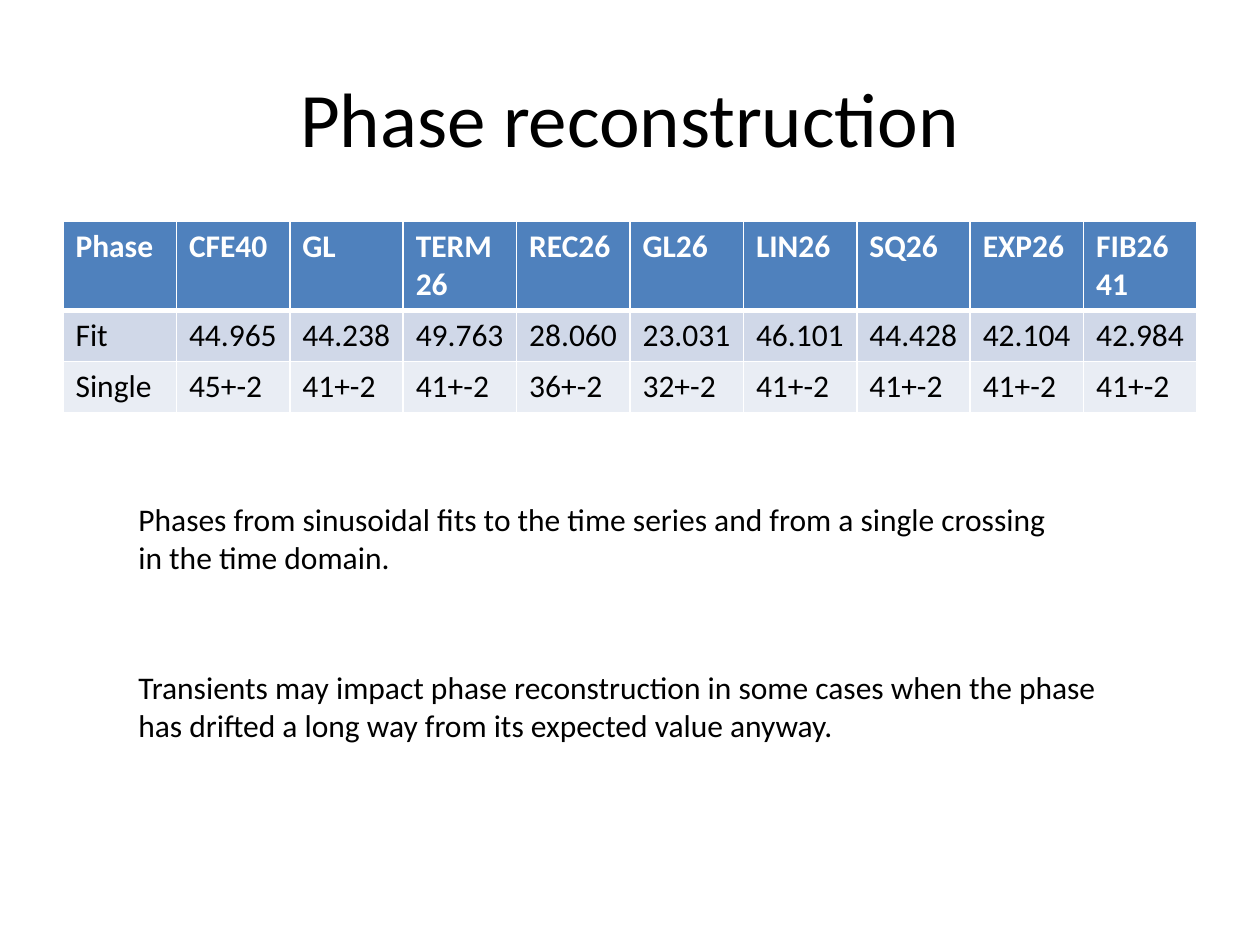
from dataclasses import dataclass

from lxml import etree
from pptx import Presentation
from pptx.dml.color import RGBColor
from pptx.enum.text import MSO_ANCHOR, PP_ALIGN
from pptx.oxml.ns import qn
from pptx.util import Emu, Pt

EMU_PER_PX = 914400 / 126
TITLE_ONLY = 5
FONT = "Calibri"
MIDDLE = MSO_ANCHOR.MIDDLE
LEFT, CENTER = PP_ALIGN.LEFT, PP_ALIGN.CENTER

BLACK = RGBColor(0x00, 0x00, 0x00)
WHITE = RGBColor(0xFF, 0xFF, 0xFF)
HEADER_BLUE = RGBColor(0x4F, 0x81, 0xBD)
BAND_DARK = RGBColor(0xD0, 0xD8, 0xE8)
BAND_LIGHT = RGBColor(0xE9, 0xED, 0xF4)


@dataclass(frozen=True)
class Row:
    values: list[str]
    height: int
    fill: RGBColor
    color: RGBColor = BLACK
    bold: bool = False
    top: int = 1
    bottom: int = 1


@dataclass(frozen=True)
class Note:
    box: tuple[int, int, int, int]
    lines: list[str]
    wrap: bool


ROWS = [
    Row(["Phase", "CFE40", "GL", "TERM26", "REC26", "GL26", "LIN26", "SQ26",
         "EXP26", "FIB2641"], 89, HEADER_BLUE, WHITE, bold=True, bottom=3),
    Row(["Fit", "44.965", "44.238", "49.763", "28.060", "23.031", "46.101",
         "44.428", "42.104", "42.984"], 51, BAND_DARK, top=3),
    Row(["Single", "45+-2", "41+-2", "41+-2", "36+-2", "32+-2", "41+-2",
         "41+-2", "41+-2", "41+-2"], 51, BAND_LIGHT),
]
NOTES = [
    Note((126, 494, 951, 89),
         ["Phases from sinusoidal fits to the time series and from a single crossing",
          "in the time domain."], wrap=False),
    Note((126, 662, 1026, 89),
         ["Transients may impact phase reconstruction in some cases when the phase",
          "has drifted a long way from its expected value anyway."], wrap=True),
]


def px(n: int) -> Emu:
    return Emu(round(n * EMU_PER_PX))


def write(tf, *lines: str, size=18, color=BLACK, bold=False, align=LEFT) -> None:
    """Fill a text frame with one paragraph per line."""
    for i, line in enumerate(lines):
        p = tf.add_paragraph() if i else tf.paragraphs[0]
        p.alignment = align
        r = p.add_run()
        r.text = line
        r.font.name, r.font.size, r.font.bold = FONT, Pt(size), bold
        r.font.color.rgb = color


def set_borders(cell, **widths: int) -> None:
    """Draw white borders; widths in points, in the order L, R, T, B."""
    tc_pr = cell._tc.get_or_add_tcPr()
    for i, (side, width) in enumerate(widths.items()):
        ln = etree.Element(qn(f"a:ln{side}"), w=str(Pt(width)))
        fill = etree.SubElement(ln, qn("a:solidFill"))
        etree.SubElement(fill, qn("a:srgbClr"), val=str(WHITE))
        tc_pr.insert(i, ln)


def add_title(s, text: str) -> None:
    sp = s.shapes.title
    sp.left, sp.top, sp.width, sp.height = map(px, (63, 38, 1134, 158))
    sp.text_frame.vertical_anchor = MIDDLE
    write(sp.text_frame, text, size=44, align=CENTER)


def add_phase_table(s, rows: list[Row]) -> None:
    n_cols = len(rows[0].values)
    height = sum(row.height for row in rows)
    table = s.shapes.add_table(len(rows), n_cols, px(63), px(221),
                               px(1134), px(height)).table
    for i, row in enumerate(rows):
        table.rows[i].height = px(row.height)
        for j, value in enumerate(row.values):
            cell = table.cell(i, j)
            cell.fill.solid()
            cell.fill.fore_color.rgb = row.fill
            set_borders(cell, L=1, R=1, T=row.top, B=row.bottom)
            write(cell.text_frame, value, color=row.color, bold=row.bold)


def add_note(s, note: Note) -> None:
    tf = s.shapes.add_textbox(*map(px, note.box)).text_frame
    tf.word_wrap = note.wrap
    write(tf, *note.lines)


def main() -> None:
    prs = Presentation()
    prs.slide_width, prs.slide_height = px(1260), px(945)
    s = prs.slides.add_slide(prs.slide_layouts[TITLE_ONLY])
    add_title(s, "Phase reconstruction")
    add_phase_table(s, ROWS)
    for note in NOTES:
        add_note(s, note)
    prs.save("out.pptx")


if __name__ == "__main__":
    main()
